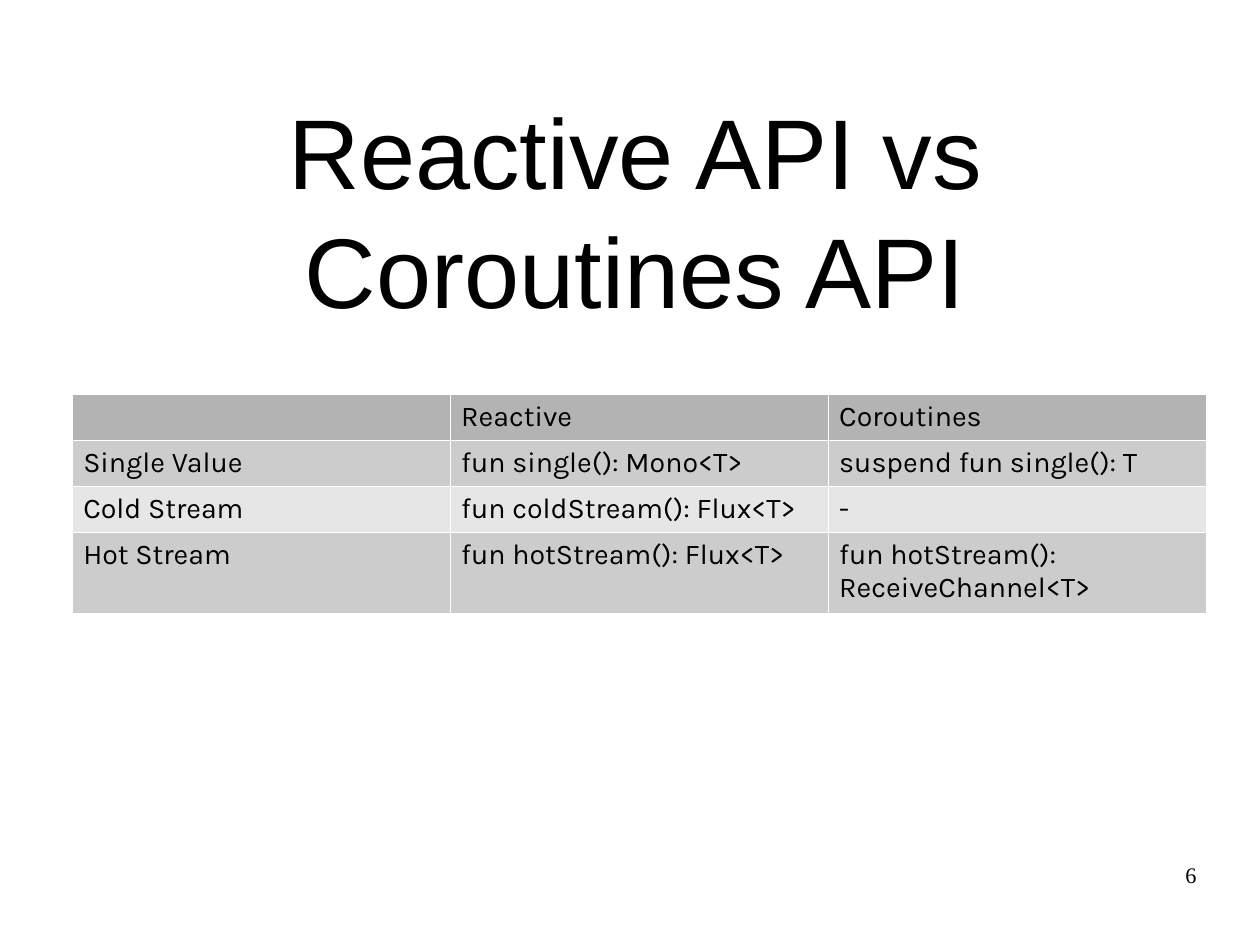
"""Build a slide comparing the Reactive API with the Coroutines API."""
from lxml import etree
from pptx import Presentation
from pptx import util as u
from pptx.dml.color import RGBColor
from pptx.enum import text
from pptx.oxml import ns

COLORS = {"text": "000000", "border": "FFFFFF", "header": "B3B3B3",
          "odd": "CCCCCC", "even": "E6E6E6"}
ROWS = [
    ("header", "", "Reactive", "Coroutines"),
    ("odd", "Single Value", "fun single(): Mono<T>", "suspend fun single(): T"),
    ("even", "Cold Stream", "fun coldStream(): Flux<T>", "-"),
    ("odd", "Hot Stream", "fun hotStream(): Flux<T>", "fun hotStream(): ReceiveChannel<T>"),
]


def add_run(p, content, font, size):
    r = p.add_run()
    r.text = content
    r.font.name = font
    r.font.size = u.Pt(size)
    r.font.color.rgb = RGBColor.from_string(COLORS["text"])


def add_text(s, box, content, font, size, align, anchor):
    tf = s.shapes.add_textbox(*map(u.Cm, box)).text_frame
    tf.word_wrap = True
    tf.vertical_anchor = anchor
    tf.margin_left = tf.margin_right = tf.margin_top = tf.margin_bottom = 0
    p = tf.paragraphs[0]
    p.alignment = align
    add_run(p, content, font, size)


prs = Presentation()
prs.slide_width, prs.slide_height = u.Cm(28), u.Cm(21)
s = prs.slides.add_slide(prs.slide_layouts[6])

add_text(s, (1.52, 2.18, 25.2, 4.93), "Reactive API vs Coroutines API", "Arial", 62.4,
         text.PP_ALIGN.CENTER, text.MSO_ANCHOR.MIDDLE)

table = s.shapes.add_table(len(ROWS), 3, u.Cm(1.6), u.Cm(8.76), u.Cm(25.2), u.Cm(3.76)).table
for row, (fill, *labels) in zip(table.rows, ROWS):
    row.height = u.Cm(0.94)
    for cell, label in zip(row.cells, labels):
        cell.margin_left = cell.margin_right = u.Cm(0.25)
        cell.margin_top = cell.margin_bottom = u.Cm(0.13)
        tc_pr = cell._tc.get_or_add_tcPr()
        for side in ("a:lnL", "a:lnR", "a:lnT", "a:lnB"):
            line = etree.SubElement(tc_pr, ns.qn(side), w=str(u.Pt(0.06)))
            solid = etree.SubElement(line, ns.qn("a:solidFill"))
            etree.SubElement(solid, ns.qn("a:srgbClr"), val=COLORS["border"])
        cell.fill.solid()
        cell.fill.fore_color.rgb = RGBColor.from_string(COLORS[fill])
        if label:
            add_run(cell.text_frame.paragraphs[0], label, "Karla", 18)

add_text(s, (20.07, 19.13, 6.52, 1.45), "6", "Times New Roman", 14,
         text.PP_ALIGN.RIGHT, text.MSO_ANCHOR.TOP)

prs.save("out.pptx")
